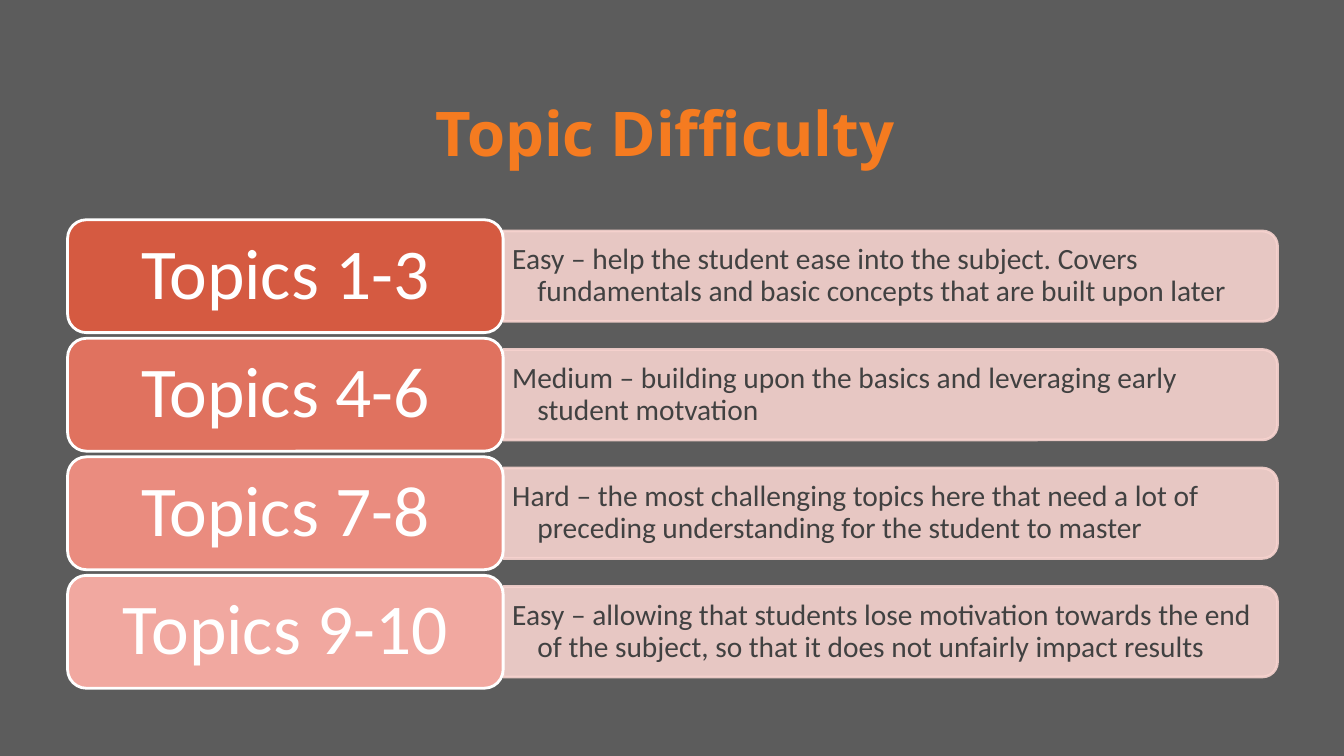
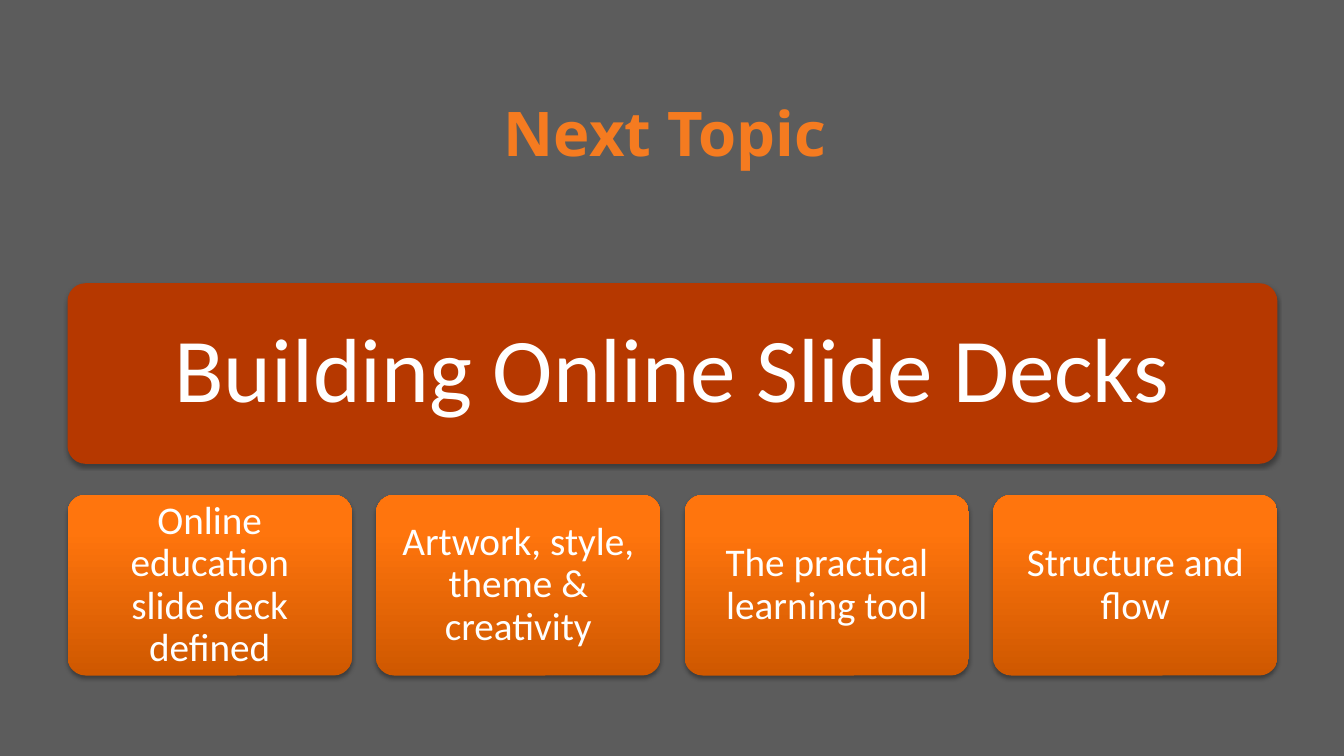
from lxml.etree import SubElement
from pptx import Presentation
from pptx.dml.color import RGBColor
from pptx.enum.shapes import MSO_SHAPE
from pptx.enum.text import MSO_ANCHOR, PP_ALIGN
from pptx.oxml.ns import qn
from pptx.util import Inches, Pt

BACKGROUND, TITLE, DARK, WHITE = "5C5C5C", "F57B20", "414141", "FFFFFF"
BAR, BANNER = "F7D3CF", "B63800"
CARD_STOPS = [(0, "CF5800"), (80, "FF750D"), (100, "FF750F")]
TITLE_FONT, BODY_FONT = "Open Sans", "Calibri"

# Grid: 50 columns fill the content width; the origin is its top left corner.
COLUMN, ROW = 0.24, 0.056
LEFT, TOP = 0.67, 2.18
COLUMNS = 50

TOPICS = [
    ("Topics 1-3", "D55A41", "Easy – help the student ease into the subject. "
     "Covers fundamentals and basic concepts that are built upon later"),
    ("Topics 4-6", "E0725F", "Medium – building upon the basics and "
     "leveraging early student motvation"),
    ("Topics 7-8", "EA8C7F", "Hard – the most challenging topics here that "
     "need a lot of preceding understanding for the student to master"),
    ("Topics 9-10", "F1A8A0", "Easy – allowing that students lose motivation "
     "towards the end of the subject, so that it does not unfairly impact results"),
]
CARDS = ["Online education slide deck defined", "Artwork, style, theme & creativity",
         "The practical learning tool", "Structure and flow"]


def rgb(value):
    return RGBColor.from_string(value)


def place(column, row, columns, rows):
    """Turn a grid cell into left, top, width and height."""
    return (Inches(LEFT + column * COLUMN), Inches(TOP + row * ROW),
            Inches(columns * COLUMN), Inches(rows * ROW))


def add_alpha(shape, percent):
    """Make the solid fill and line of a shape translucent."""
    for color in shape._element.spPr.iter(qn("a:srgbClr")):
        SubElement(color, qn("a:alpha"), val=str(percent * 1000))


def add_shadow(shape):
    effects = shape._element.spPr.find(qn("a:effectLst"))
    shadow = SubElement(effects, qn("a:outerShdw"), blurRad=str(Pt(3.1)),
                        dist=str(Pt(1.8)), dir="5400000", rotWithShape="0")
    color = SubElement(shadow, qn("a:srgbClr"), val="000000")
    SubElement(color, qn("a:alpha"), val="35000")


def fill_gradient(shape, stops):
    """Fill a shape with stops that run from bottom to top."""
    shape.fill.gradient()
    shape.fill.gradient_angle = 90
    stop_list = next(shape._element.spPr.iter(qn("a:gsLst")))
    for stop in list(stop_list):
        stop_list.remove(stop)
    for position, color in stops:
        stop = SubElement(stop_list, qn("a:gs"), pos=str(position * 1000))
        SubElement(stop, qn("a:srgbClr"), val=color)


class Deck:
    def __init__(self):
        self.presentation = Presentation()
        self.presentation.slide_width = Inches(13.33)
        self.presentation.slide_height = Inches(7.5)
        self.slide = None

    def start_slide(self, title):
        self.slide = self.presentation.slides.add_slide(
            self.presentation.slide_layouts[6])
        background = self.slide.background.fill
        background.solid()
        background.fore_color.rgb = rgb(BACKGROUND)
        heading = self.text_box(-0.3, -26.75, COLUMNS, 22.25)
        self.set_text(heading, title, 44, TITLE, (0.1, 0.05), font=TITLE_FONT,
                      bold=True, spacing=1)

    def text_box(self, *cell):
        return self.slide.shapes.add_textbox(*place(*cell))

    def set_text(self, shape, text, size, color, insets, font=BODY_FONT,
                 bold=False, align=PP_ALIGN.CENTER, spacing=0.9):
        frame = shape.text_frame
        frame.word_wrap = True
        frame.vertical_anchor = MSO_ANCHOR.MIDDLE
        frame.margin_left = frame.margin_right = Inches(insets[0])
        frame.margin_top = frame.margin_bottom = Inches(insets[1])
        paragraph = frame.paragraphs[0]
        paragraph.text = text
        paragraph.alignment = align
        paragraph.line_spacing = spacing
        paragraph.font.name = font
        paragraph.font.size = Pt(size)
        paragraph.font.bold = bold
        paragraph.font.color.rgb = rgb(color)
        return paragraph

    def panel(self, cell, fill, line=None, kind=MSO_SHAPE.ROUNDED_RECTANGLE):
        """Add a shape; fill is one colour or a list of gradient stops."""
        shape = self.slide.shapes.add_shape(kind, *place(*cell))
        shape.shadow.inherit = False
        if isinstance(fill, str):
            shape.fill.solid()
            shape.fill.fore_color.rgb = rgb(fill)
        else:
            fill_gradient(shape, fill)
        if line:
            shape.line.color.rgb = rgb(line)
            shape.line.width = Pt(2)
        else:
            shape.line.fill.background()
        return shape

    def description(self, column, row, columns, rows, text):
        """Add a bar rounded on its right side, with hanging text."""
        bar_width, bar_height = columns * COLUMN, rows * ROW
        upright = (column + (bar_width - bar_height) / 2 / COLUMN,
                   row - (bar_width - bar_height) / 2 / ROW,
                   bar_height / COLUMN, bar_width / ROW)
        bar = self.panel(upright, BAR, BAR, MSO_SHAPE.ROUND_2_SAME_RECTANGLE)
        bar.rotation = 90
        add_alpha(bar, 90)
        caption = self.text_box(column, row, columns, rows)
        paragraph = self.set_text(caption, text, 21, DARK, (0.09, 0.04),
                                  align=PP_ALIGN.LEFT)
        hanging = paragraph._p.get_or_add_pPr()
        hanging.set("marL", str(Inches(0.25)))
        hanging.set("indent", str(-Inches(0.25)))

    def label(self, cell, text, fill):
        shape = self.panel(cell, fill, WHITE)
        self.set_text(shape, text, 51, WHITE, (0.26, 0.16))

    def card(self, cell, text, fill, size, inset):
        shape = self.panel(cell, fill)
        shape.adjustments[0] = 0.1
        add_shadow(shape)
        self.set_text(shape, text, size, WHITE, (inset, inset))


def add_topic_difficulty(deck):
    deck.start_slide("Topic Difficulty")
    label_columns, label_rows, bar_rows, gap = 18, 20, 16, 1
    for index, (topics, color, text) in enumerate(TOPICS):
        row = index * (label_rows + gap)
        deck.description(label_columns, row + (label_rows - bar_rows) / 2,
                         COLUMNS - label_columns, bar_rows, text)
        deck.label((0, row, label_columns, label_rows), topics, color)


def add_next_topic(deck):
    deck.start_slide("Next Topic")
    banner_row, card_row, rows, gap = 11.25, 48.75, 32, 1
    deck.card((0, banner_row, COLUMNS, rows), "Building Online Slide Decks",
              BANNER, 65, 0.32)
    columns = (COLUMNS - gap * (len(CARDS) - 1)) / len(CARDS)
    for index, text in enumerate(CARDS):
        deck.card((index * (columns + gap), card_row, columns, rows), text,
                  CARD_STOPS, 28, 0.17)


def main():
    deck = Deck()
    add_topic_difficulty(deck)
    add_next_topic(deck)
    deck.presentation.save("out.pptx")


if __name__ == "__main__":
    main()
